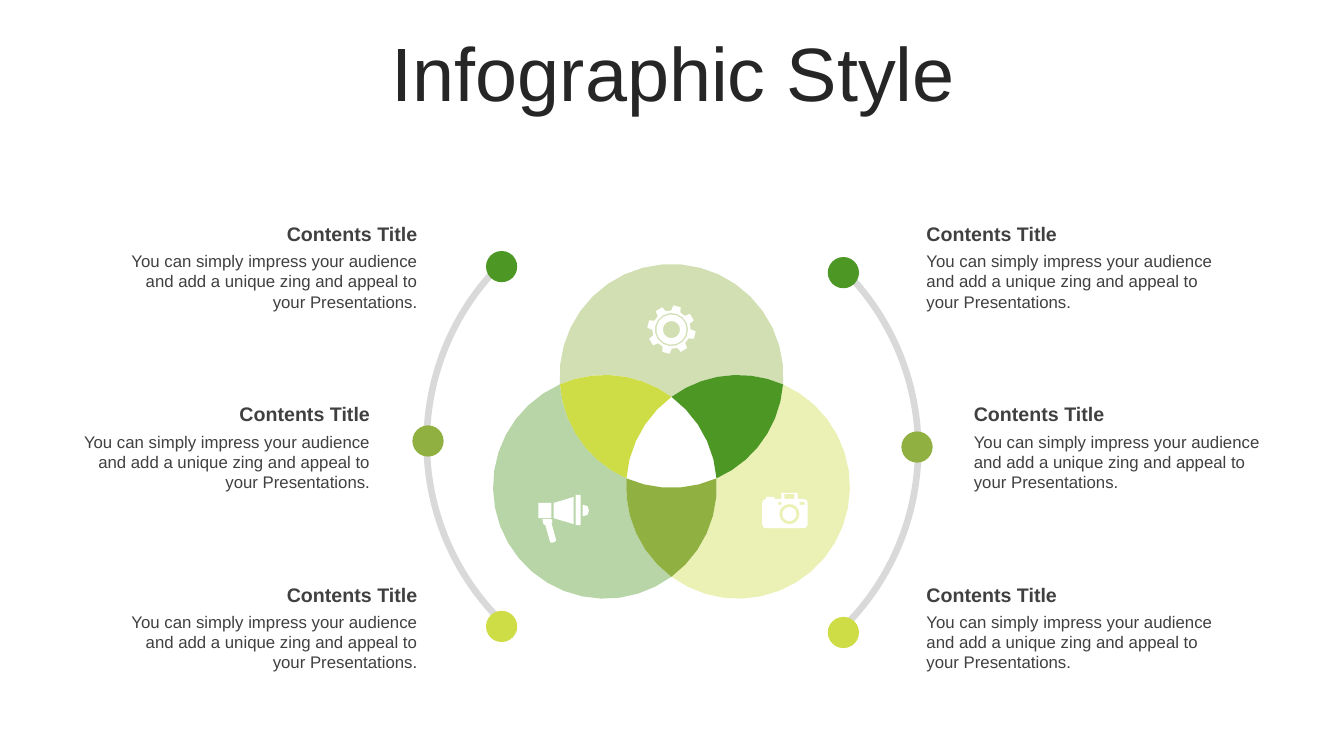
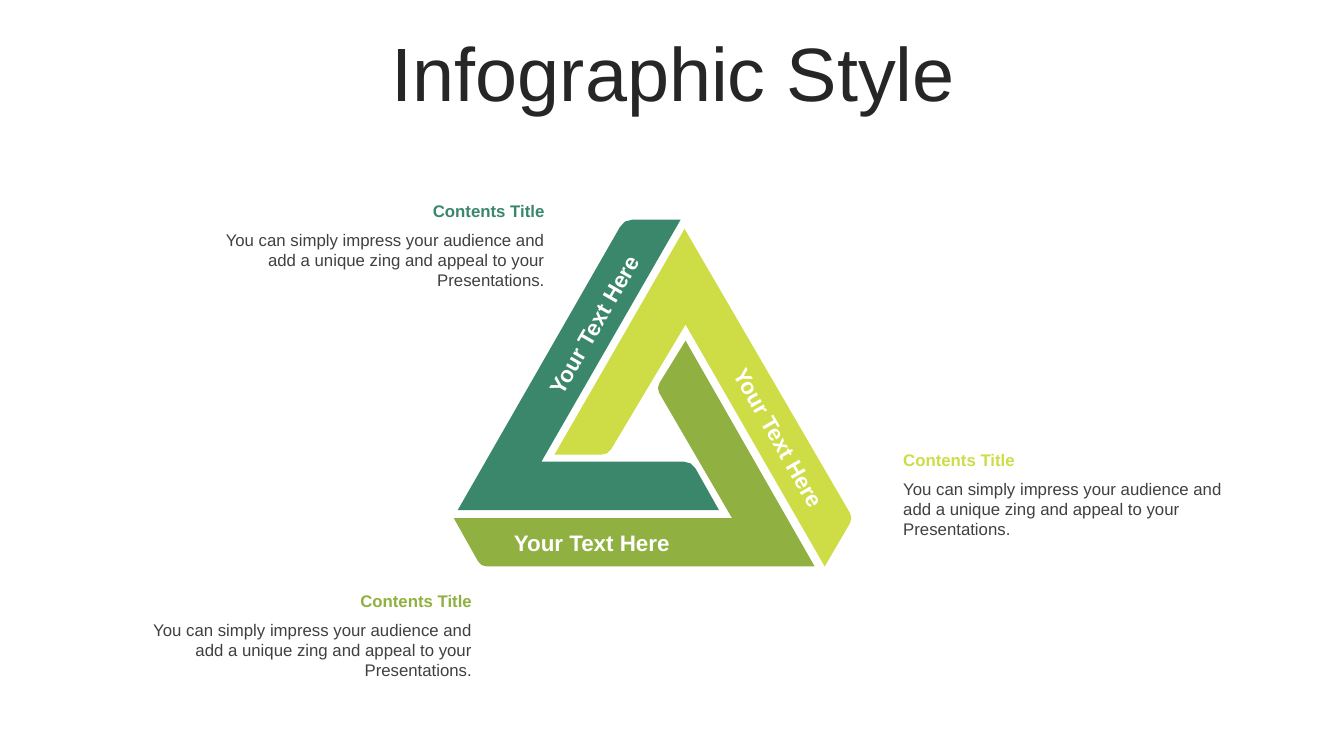
import math

from lxml import etree
from pptx import Presentation
from pptx import util as u
from pptx.dml.color import RGBColor
from pptx.enum import shapes, text
from pptx.oxml import ns

PX = 9144
FONT = "Arial"
GREEN, OLIVE, LIME, TEAL = "4D9724", "90B141", "CEDD46", "3A876B"
WHITE, GRAY, DARK, INK = "FFFFFF", "D9D9D9", "404040", "262626"
LEFT, CENTER, RIGHT = text.PP_ALIGN.LEFT, text.PP_ALIGN.CENTER, text.PP_ALIGN.RIGHT

TITLE = "Infographic Style"
HEADING = "Contents Title"
BODY = "You can simply impress your audience and add a unique zing and appeal to your Presentations."
BAND_TEXT = "Your Text Here"

VENN_RADIUS = 111
VENN_CIRCLES = [(666, 373, OLIVE), (600, 483, GREEN), (732, 483, LIME)]
ARC_STEP, RING_STEP = 10, 24

ARC_SIZE, DOT_SIZE = 506, 31
DOTS = [(413, 63, GREEN), (486, 236, OLIVE), (413, 420, LIME)]
ARCS = [
    {"left": 408, "top": 192, "angles": (313.6, 44.68), "mirrored": False},
    {"left": 420, "top": 186, "angles": (135.32, 226.4), "mirrored": True},
]
NOTE_ROWS = [(0, 215), (47, 394), (0, 573)]
NOTE_SIDES = [(909, 1, LEFT), (113, -1, RIGHT)]

GEAR_CENTER, GEAR_TEETH = (666, 327), 8
GEAR_PROFILE = [(19, -14), (24, -9), (24, 9), (19, 14)]
GEAR_RINGS = [16.5, 15, 8.5]

MEGAPHONE = [
    [(547, 515), (548, 518), (547, 519), (552, 537, 2), (546, 539, 2), (541, 521), (539, 520), (538, 515)],
    [(578, 501), (584, 501, 5), (584, 512, 5), (578, 512)],
    [(534, 499), (547, 499), (547, 514), (534, 514)],
    [(569, 493), (569, 520), (549, 514), (549, 499)],
    [(571, 491), (576, 491), (576, 521), (571, 521)],
]
CAMERA = [
    [(756, 495, 4), (760, 495), (760, 493), (768, 493), (768, 495), (775, 495), (775, 489),
     (791, 489), (791, 495), (801, 495, 4), (801, 524, 4), (756, 524, 4)],
    [(778, 490), (788, 490), (788, 495), (778, 495)],
    [(772, 498), (775, 498), (775, 501), (772, 501)],
    [(793, 498), (798, 498), (798, 501), (793, 501)],
]
CAMERA_LENS, CAMERA_RINGS = (783, 510), [10, 7]

BANDS = [
    (LIME, [(679, 227), (846, 514, 6), (818, 562), (680, 322), (603, 451, 6), (550, 451)]),
    (TEAL, [(454, 506), (619, 218, 8), (675, 218), (537, 458), (686, 458, 8), (713, 506)]),
    (OLIVE, [(450, 514), (726, 514), (651, 385, 6), (680, 338), (808, 562), (477, 562, 6)]),
]
BAND_LABELS = [(681, 426, 60.2, LEFT), (478, 520, 0, RIGHT), (495, 295, 300, LEFT)]
BAND_NOTES = [(116, 581, RIGHT, OLIVE), (886, 441, LEFT, LIME), (188, 194, RIGHT, TEAL)]


def rgb(color):
    return RGBColor.from_string(color)


def px(*lengths):
    return [round(length * PX) for length in lengths]


def write(shape, words, size, color, bold=False, align=LEFT, anchor=text.MSO_ANCHOR.TOP, spacing=None):
    frame = shape.text_frame
    frame.word_wrap = True
    frame.auto_size = text.MSO_AUTO_SIZE.NONE
    frame.vertical_anchor = anchor
    paragraph = frame.paragraphs[0]
    paragraph.alignment = align
    paragraph.line_spacing = spacing
    run = paragraph.add_run()
    run.text = words
    run.font.name = FONT
    run.font.size = u.Pt(size)
    run.font.bold = bold
    run.font.color.rgb = rgb(color)


def add_text(slide, box, words, size, color, rotation=0, **style):
    shape = slide.shapes.add_textbox(*px(*box))
    shape.rotation = rotation
    write(shape, words, size, color, **style)


def add_note(slide, left, top, width, align, heading_size=14, heading_color=DARK):
    add_text(slide, (left, top + 29, width, 71), BODY, 12, DARK, align=align)
    add_text(slide, (left, top, width, 34), HEADING, heading_size, heading_color, bold=True, align=align)


def paint(shape, color, opacity=100):
    shape.shadow.inherit = False
    shape.fill.solid()
    shape.fill.fore_color.rgb = rgb(color)
    shape.line.fill.background()
    if opacity < 100:
        tint = shape.element.spPr.find(".//" + ns.qn("a:srgbClr"))
        etree.SubElement(tint, ns.qn("a:alpha")).set("val", str(opacity * 1000))


def add_preset(slide, kind, box, color):
    shape = slide.shapes.add_shape(kind, *px(*box))
    paint(shape, color)
    return shape


def add_outline(slide, contours, color, opacity=100):
    first, *others = [[px(*point) for point in contour] for contour in contours]
    builder = slide.shapes.build_freeform(*first[0], scale=1.0)
    builder.add_line_segments(first[1:], close=True)
    for contour in others:
        builder.move_to(*contour[0])
        builder.add_line_segments(contour[1:], close=True)
    paint(builder.convert_to_shape(), color, opacity)


def polar(center, radius, degrees):
    angle = math.radians(degrees)
    return center[0] + radius * math.cos(angle), center[1] + radius * math.sin(angle)


def ring(center, radius):
    return [polar(center, radius, degrees) for degrees in range(0, 360, RING_STEP)]


def rounded(vertices):
    points = []
    for index, (x, y, *radius) in enumerate(vertices):
        if not radius:
            points.append((x, y))
            continue
        ends = []
        for neighbour in (vertices[index - 1], vertices[(index + 1) % len(vertices)]):
            share = radius[0] / math.dist((x, y), neighbour[:2])
            ends.append((x + (neighbour[0] - x) * share, y + (neighbour[1] - y) * share))
        (ax, ay), (bx, by) = ends
        points += [(ax, ay), ((ax + 2 * x + bx) / 4, (ay + 2 * y + by) / 4), (bx, by)]
    return points


def crossings(first, second, third):
    (ax, ay), (bx, by) = first, second
    gap = math.dist(first, second)
    reach = math.sqrt(VENN_RADIUS ** 2 - gap ** 2 / 4) / gap
    points = [((ax + bx) / 2 + side * reach * (by - ay), (ay + by) / 2 - side * reach * (bx - ax))
              for side in (1, -1)]
    return sorted(points, key=lambda point: math.dist(point, third))


def arc(center, start, end, long=False):
    begin, finish = [math.degrees(math.atan2(y - center[1], x - center[0])) for x, y in (start, end)]
    sweep = (finish - begin + 180) % 360 - 180
    if long:
        sweep -= math.copysign(360, sweep)
    steps = math.ceil(abs(sweep) / ARC_STEP)
    return [polar(center, VENN_RADIUS, begin + sweep * step / steps) for step in range(steps)]


def add_venn(slide):
    petals, lenses = [], []
    for index in range(3):
        own, second, third = [VENN_CIRCLES[(index + turn) % 3][:2] for turn in range(3)]
        color = VENN_CIRCLES[index][2]
        inner_far, outer_far = crossings(second, third, own)
        inner_second, outer_second = crossings(own, second, third)
        inner_third, outer_third = crossings(own, third, second)
        petals.append((color, arc(third, inner_far, outer_third)
                       + arc(own, outer_third, outer_second, long=True)
                       + arc(second, outer_second, inner_far)))
        lenses.append((color, arc(second, inner_second, outer_far)
                       + arc(third, outer_far, inner_third)
                       + arc(own, inner_third, inner_second)))
    for regions, opacity in ((petals, 40), (lenses, 100)):
        for color, outline in regions:
            add_outline(slide, [outline], color, opacity)


def add_icons(slide):
    gear = [polar(GEAR_CENTER, radius, tooth * 360 / GEAR_TEETH - 76.6 + turn)
            for tooth in range(GEAR_TEETH) for radius, turn in GEAR_PROFILE]
    add_outline(slide, [gear] + [ring(GEAR_CENTER, radius) for radius in GEAR_RINGS], WHITE)
    add_outline(slide, [rounded(part) for part in MEGAPHONE], WHITE)
    lens = [ring(CAMERA_LENS, radius) for radius in CAMERA_RINGS]
    add_outline(slide, [rounded(part) for part in CAMERA] + lens, WHITE)


def add_side_arc(slide, left, top, angles, mirrored):
    band = add_preset(slide, shapes.MSO_SHAPE.BLOCK_ARC, (left, top, ARC_SIZE, ARC_SIZE), GRAY)
    for index, angle in enumerate(angles):
        band.adjustments[index] = angle * 0.6
    band.adjustments[2] = 0.013
    for x, y, color in DOTS:
        offset = ARC_SIZE - DOT_SIZE - x if mirrored else x
        add_preset(slide, shapes.MSO_SHAPE.OVAL, (left + offset, top + y, DOT_SIZE, DOT_SIZE), color)


def add_titled_slide(presentation):
    slide = presentation.slides.add_slide(presentation.slide_layouts[5])
    title = slide.shapes.title
    title.left, title.top, title.width, title.height = px(35, 37, 1266, 79)
    write(title, TITLE, 54, INK, align=CENTER, anchor=text.MSO_ANCHOR.MIDDLE, spacing=0.9)
    return slide


def build_venn_slide(presentation):
    slide = add_titled_slide(presentation)
    add_venn(slide)
    add_icons(slide)
    for side_arc in ARCS:
        add_side_arc(slide, **side_arc)
    for left, direction, align in NOTE_SIDES:
        for indent, top in NOTE_ROWS:
            add_note(slide, left + direction * indent, top, 311, align)


def build_triangle_slide(presentation):
    slide = add_titled_slide(presentation)
    for color, vertices in BANDS:
        add_outline(slide, [rounded(vertices)], color)
    for left, top, rotation, align in BAND_LABELS:
        add_text(slide, (left, top, 196, 34), BAND_TEXT, 16, WHITE, rotation, bold=True, align=align)
    for left, top, align, color in BAND_NOTES:
        add_note(slide, left, top, 362, align, 12, color)


def main():
    presentation = Presentation()
    presentation.slide_width, presentation.slide_height = px(1333, 750)
    build_venn_slide(presentation)
    build_triangle_slide(presentation)
    presentation.save("out.pptx")


if __name__ == "__main__":
    main()
